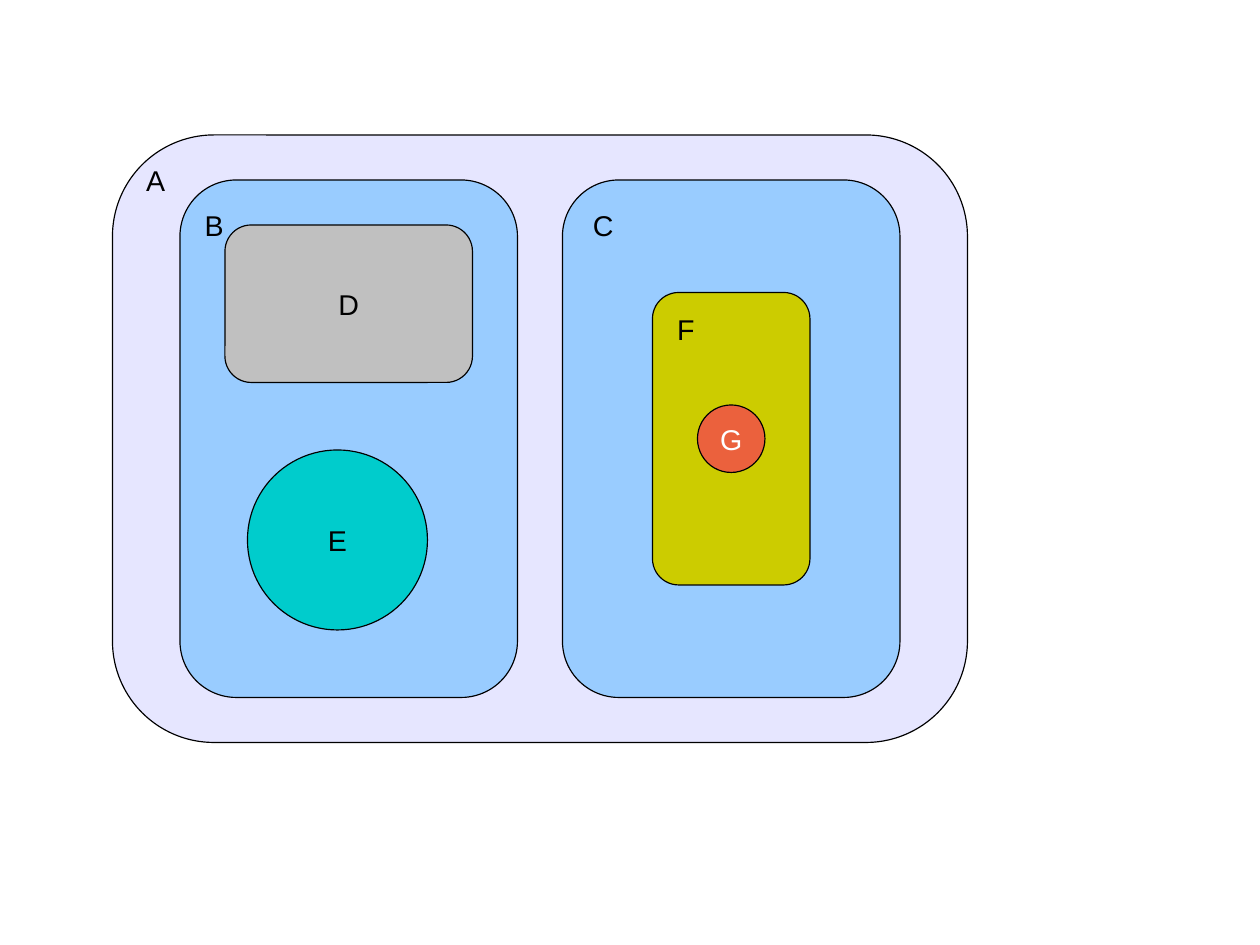
import dataclasses

import pptx
import pptx.dml.color
import pptx.enum.shapes
import pptx.enum.text
import pptx.presentation
import pptx.slide
import pptx.text.text
import pptx.util

RGBColor = pptx.dml.color.RGBColor
ShapeType = pptx.enum.shapes.MSO_SHAPE
Alignment = pptx.enum.text.PP_ALIGN
Anchor = pptx.enum.text.MSO_ANCHOR

BLACK = RGBColor(0x00, 0x00, 0x00)
WHITE = RGBColor(0xFF, 0xFF, 0xFF)
LAVENDER = RGBColor(0xE6, 0xE6, 0xFF)
SKY_BLUE = RGBColor(0x99, 0xCC, 0xFF)
GREY = RGBColor(0xC0, 0xC0, 0xC0)
TURQUOISE = RGBColor(0x00, 0xCC, 0xCC)
OLIVE = RGBColor(0xCC, 0xCC, 0x00)
ORANGE = RGBColor(0xEB, 0x61, 0x3D)

GRID_UNIT = pptx.util.Cm(0.5)
SLIDE_COLUMNS = 56
SLIDE_ROWS = 42
LABEL_SIZE = 2
CORNER_SHARE = 0.167


@dataclasses.dataclass(frozen=True)
class Region:
    column: float
    row: float
    columns: float
    rows: float
    fill: RGBColor
    shape_type: ShapeType = ShapeType.ROUNDED_RECTANGLE
    text: str = ""
    text_color: RGBColor = BLACK


@dataclasses.dataclass(frozen=True)
class Label:
    text: str
    column: float
    row: float


REGIONS = [
    Region(5, 6, 38, 27, LAVENDER),
    Region(8, 8, 15, 23, SKY_BLUE),
    Region(25, 8, 15, 23, SKY_BLUE),
    Region(10, 10, 11, 7, GREY, text="D"),
    Region(11, 20, 8, 8, TURQUOISE, ShapeType.OVAL, "E"),
    Region(29, 13, 7, 13, OLIVE),
    Region(31, 18, 3, 3, ORANGE, ShapeType.OVAL, "G", WHITE),
]

LABELS = [
    Label("A", 6, 7),
    Label("B", 8.6, 9),
    Label("C", 25.85, 9),
    Label("F", 29.6, 13.6),
]


def grid(count: float) -> pptx.util.Emu:
    return pptx.util.Emu(round(count * GRID_UNIT))


def write_text(
    frame: pptx.text.text.TextFrame,
    text: str,
    color: RGBColor,
    alignment: Alignment,
    anchor: Anchor,
) -> None:
    frame.word_wrap = True
    frame.vertical_anchor = anchor
    paragraph = frame.paragraphs[0]
    paragraph.text = text
    paragraph.alignment = alignment
    paragraph.font.name = "Arial"
    paragraph.font.size = pptx.util.Pt(18)
    paragraph.font.color.rgb = color


def draw_region(slide: pptx.slide.Slide, region: Region) -> None:
    shape = slide.shapes.add_shape(
        region.shape_type,
        grid(region.column),
        grid(region.row),
        grid(region.columns),
        grid(region.rows),
    )
    shape.shadow.inherit = False
    shape.fill.solid()
    shape.fill.fore_color.rgb = region.fill
    shape.line.color.rgb = BLACK
    shape.line.width = pptx.util.Pt(0)
    if region.shape_type == ShapeType.ROUNDED_RECTANGLE:
        shape.adjustments[0] = CORNER_SHARE
    if region.text:
        write_text(
            shape.text_frame,
            region.text,
            region.text_color,
            Alignment.CENTER,
            Anchor.MIDDLE,
        )


def draw_label(slide: pptx.slide.Slide, label: Label) -> None:
    box = slide.shapes.add_textbox(
        grid(label.column), grid(label.row), grid(LABEL_SIZE), grid(LABEL_SIZE)
    )
    write_text(box.text_frame, label.text, BLACK, Alignment.LEFT, Anchor.TOP)


def build_presentation() -> pptx.presentation.Presentation:
    presentation = pptx.Presentation()
    presentation.slide_width = grid(SLIDE_COLUMNS)
    presentation.slide_height = grid(SLIDE_ROWS)
    slide = presentation.slides.add_slide(presentation.slide_layouts[6])
    for region in REGIONS:
        draw_region(slide, region)
    for label in LABELS:
        draw_label(slide, label)
    return presentation


def main() -> None:
    build_presentation().save("out.pptx")


if __name__ == "__main__":
    main()
